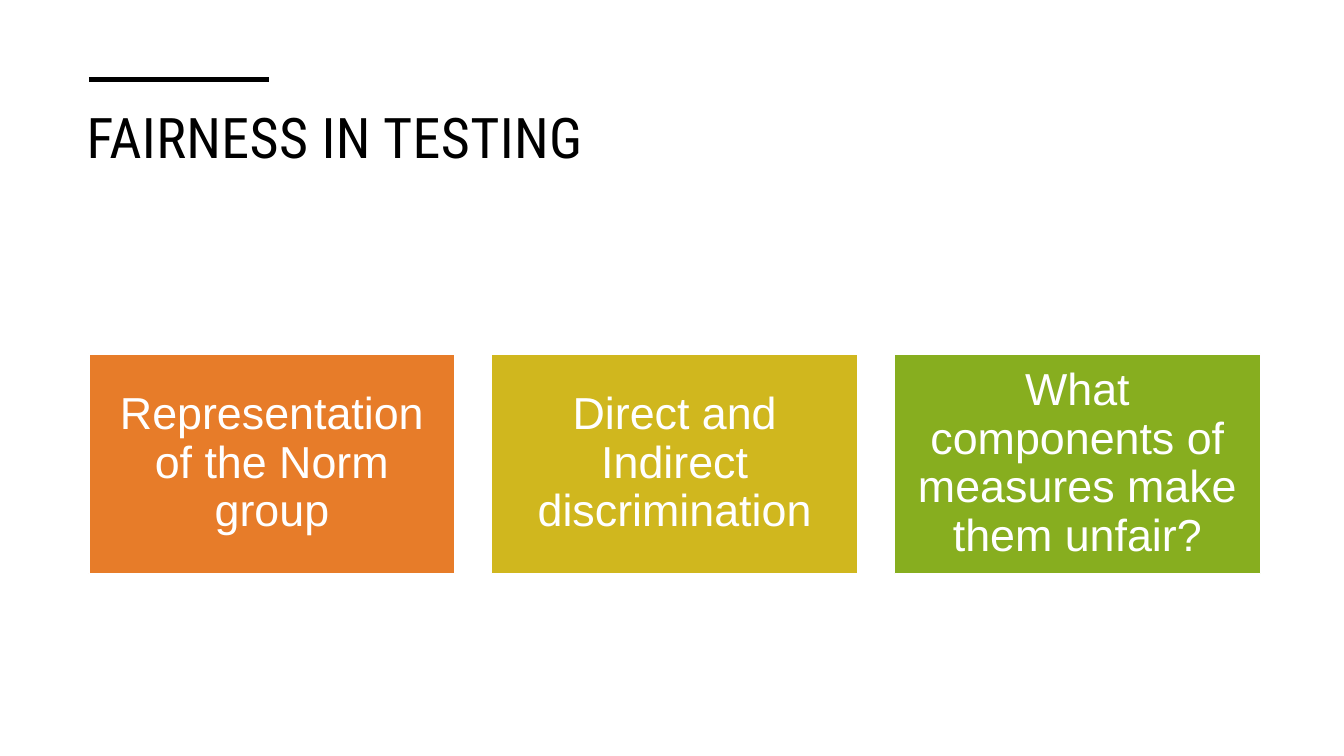
import dataclasses

import pptx
import pptx.dml.color
import pptx.enum.shapes
import pptx.enum.text
import pptx.oxml.ns
import pptx.util
from lxml import etree
from pptx.util import Cm


@dataclasses.dataclass(frozen=True)
class Theme:
    ink: str = "000000"
    paper: str = "FFFFFF"
    topic_fills: tuple = ("E77C29", "D0B71E", "87AE1F")
    title_font: str = "Roboto Condensed"
    topic_font: str = "Arial"
    title_size: int = 40
    topic_size: int = 32


def rgb(value):
    return pptx.dml.color.RGBColor.from_string(value)


def write_text(frame, text, *, font, size, color, align, anchor,
               inset=None, line_spacing=1.0, tracking=None):
    frame.word_wrap = True
    frame.auto_size = pptx.enum.text.MSO_AUTO_SIZE.NONE
    frame.vertical_anchor = anchor
    if inset is not None:
        frame.margin_left = frame.margin_right = inset
        frame.margin_top = frame.margin_bottom = inset
    paragraph = frame.paragraphs[0]
    paragraph.alignment = align
    paragraph.line_spacing = line_spacing
    paragraph.space_before = pptx.util.Pt(0)
    run = paragraph.add_run()
    run.text = text
    run.font.name = font
    run.font.size = pptx.util.Pt(size)
    run.font.color.rgb = rgb(color)
    if tracking is not None:
        run.font._element.set("spc", str(round(tracking * 100)))


class SlideBuilder:
    def __init__(self, slide, theme):
        self.slide = slide
        self.theme = theme

    def title(self, text, left, top, width, height):
        heading = self.slide.shapes.title
        heading.left, heading.top = left, top
        heading.width, heading.height = width, height
        write_text(heading.text_frame, text, font=self.theme.title_font,
                   size=self.theme.title_size, color=self.theme.ink,
                   align=pptx.enum.text.PP_ALIGN.LEFT,
                   anchor=pptx.enum.text.MSO_ANCHOR.TOP, tracking=0.3)

    def rule(self, left, right, y):
        accent = self.slide.shapes.add_connector(
            pptx.enum.shapes.MSO_CONNECTOR.STRAIGHT, left, y, right, y)
        accent.line.color.rgb = rgb(self.theme.ink)
        accent.line.width = pptx.util.Pt(3.5)
        etree.SubElement(accent._element.spPr, pptx.oxml.ns.qn("a:effectLst"))

    def topic(self, text, fill, left, top, width, height):
        card = self.slide.shapes.add_shape(
            pptx.enum.shapes.MSO_SHAPE.RECTANGLE, left, top, width, height)
        card.shadow.inherit = False
        card.fill.solid()
        card.fill.fore_color.rgb = rgb(fill)
        card.line.color.rgb = rgb(self.theme.paper)
        card.line.width = pptx.util.Pt(1)
        write_text(card.text_frame, text, font=self.theme.topic_font,
                   size=self.theme.topic_size, color=self.theme.paper,
                   align=pptx.enum.text.PP_ALIGN.CENTER,
                   anchor=pptx.enum.text.MSO_ANCHOR.MIDDLE,
                   inset=Cm(0.34), line_spacing=0.9)


def main():
    presentation = pptx.Presentation()
    presentation.slide_width = Cm(33.87)
    presentation.slide_height = Cm(19.05)
    title_only = presentation.slide_layouts[5]
    builder = SlideBuilder(presentation.slides.add_slide(title_only), Theme())

    # Heading with its accent rule
    builder.title("FAIRNESS IN TESTING", Cm(1.93), Cm(2.46), Cm(30), Cm(2.92))
    margin = 2.24
    builder.rule(Cm(margin), Cm(6.78), Cm(2))

    # Row of three topics
    topics = (
        "Representation of the Norm group",
        "Direct and Indirect discrimination",
        "What components of measures make them unfair?",
    )
    topic_width, gap = 9.23, 0.92
    for column, (topic, fill) in enumerate(zip(topics, builder.theme.topic_fills)):
        left = margin + column * (topic_width + gap)
        builder.topic(topic, fill, Cm(left), Cm(8.92), Cm(topic_width), Cm(5.54))

    presentation.save("out.pptx")


if __name__ == "__main__":
    main()
